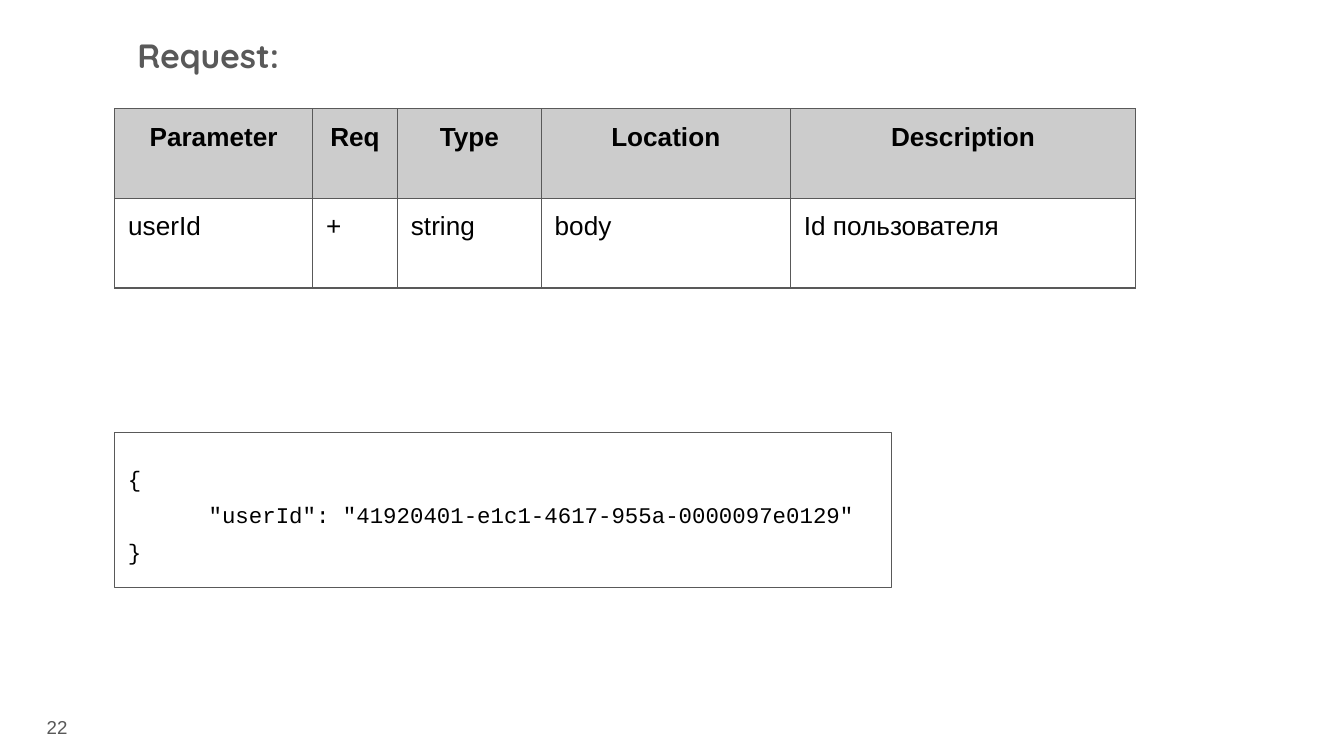
from dataclasses import dataclass

from lxml.etree import SubElement
from pptx import Presentation
from pptx.dml.color import RGBColor
from pptx.enum.shapes import MSO_SHAPE
from pptx.enum.text import MSO_ANCHOR, PP_ALIGN
from pptx.oxml.ns import qn
from pptx.util import Inches, Pt

SLIDE_W = Inches(10)
SLIDE_H = SLIDE_W * 9 // 16
INSET = 0.1
GREY, BLACK, WHITE, HEADER = "595959", "000000", "FFFFFF", "CCCCCC"
LINE_WIDTH = Pt(0.75)


@dataclass(frozen=True)
class Area:
    """A rectangle in percent of the slide's width and height."""
    x: float
    y: float
    w: float
    h: float

    def emu(self) -> tuple:
        return pct_w(self.x), pct_h(self.y), pct_w(self.w), pct_h(self.h)


@dataclass(frozen=True)
class Style:
    size: float
    font: str = "Arial"
    color: str = BLACK
    bold: bool = False
    align: PP_ALIGN = PP_ALIGN.LEFT
    spacing: float = 1.0
    after: float = 0


TITLE = Style(18, "Quicksand", GREY, bold=True, spacing=1.15, after=16)
HEADING = Style(14, bold=True, align=PP_ALIGN.CENTER)
VALUE = Style(14)
LOOSE_VALUE = Style(14, spacing=1.15)
MONO = Style(12, "Courier New", spacing=1.36)
NUMBER = Style(10, color=GREY, align=PP_ALIGN.RIGHT)


@dataclass(frozen=True)
class Column:
    width: float
    heading: str
    value: str
    style: Style = VALUE
    pad: float = INSET


@dataclass(frozen=True)
class CodeLine:
    text: str
    indent: float = 0


COLUMNS = [
    Column(14.72, "Parameter", "userId", LOOSE_VALUE, 0.07),
    Column(6.32, "Req", "+"),
    Column(10.7, "Type", "string"),
    Column(18.54, "Location", "body"),
    Column(25.7, "Description", "Id пользователя"),
]
ROW_H = 11.86
CODE = [
    CodeLine("{"),
    CodeLine('"userId": "41920401-e1c1-4617-955a-0000097e0129"', 0.6),
    CodeLine("}"),
]


def pct_w(share: float) -> int:
    return int(SLIDE_W * share / 100)


def pct_h(share: float) -> int:
    return int(SLIDE_H * share / 100)


def rgb(color: str) -> RGBColor:
    return RGBColor.from_string(color)


def write(p, text: str, style: Style) -> None:
    p.alignment = style.align
    p.line_spacing = style.spacing
    p.space_after = Pt(style.after)
    r = p.add_run()
    r.text = text
    r.font.name = style.font
    r.font.size = Pt(style.size)
    r.font.bold = style.bold
    r.font.color.rgb = rgb(style.color)


def set_margins(holder, pad: float = INSET) -> None:
    holder.margin_left = holder.margin_right = Inches(INSET)
    holder.margin_top = holder.margin_bottom = Inches(pad)


def set_frame(tf, anchor: MSO_ANCHOR) -> None:
    tf.word_wrap = True
    tf.vertical_anchor = anchor
    set_margins(tf)


def add_label(s, area: Area, text: str, style: Style, anchor: MSO_ANCHOR) -> None:
    tf = s.shapes.add_textbox(*area.emu()).text_frame
    set_frame(tf, anchor)
    write(tf.paragraphs[0], text, style)


def set_borders(cell) -> None:
    tc_pr = cell._tc.get_or_add_tcPr()
    for i, side in enumerate(("a:lnL", "a:lnR", "a:lnT", "a:lnB")):
        ln = tc_pr.makeelement(qn(side), {"w": str(int(LINE_WIDTH))})
        fill = SubElement(ln, qn("a:solidFill"))
        SubElement(fill, qn("a:srgbClr"), val=GREY)
        tc_pr.insert(i, ln)


def fill_cell(cell, text: str, style: Style, color: str, pad: float = INSET) -> None:
    set_margins(cell, pad)
    cell.fill.solid()
    cell.fill.fore_color.rgb = rgb(color)
    set_borders(cell)
    write(cell.text_frame.paragraphs[0], text, style)


def add_parameters(s, x: float, y: float) -> None:
    area = Area(x, y, sum(c.width for c in COLUMNS), 2 * ROW_H)
    table = s.shapes.add_table(2, len(COLUMNS), *area.emu()).table
    for row in table.rows:
        row.height = pct_h(ROW_H)
    for i, col in enumerate(COLUMNS):
        table.columns[i].width = pct_w(col.width)
        fill_cell(table.cell(0, i), col.heading, HEADING, HEADER)
        fill_cell(table.cell(1, i), col.value, col.style, WHITE, col.pad)


def add_code(s, area: Area) -> None:
    sp = s.shapes.add_shape(MSO_SHAPE.RECTANGLE, *area.emu())
    sp.shadow.inherit = False
    sp.fill.solid()
    sp.fill.fore_color.rgb = rgb(WHITE)
    sp.line.color.rgb = rgb(GREY)
    sp.line.width = LINE_WIDTH
    tf = sp.text_frame
    set_frame(tf, MSO_ANCHOR.MIDDLE)
    for i, line in enumerate(CODE):
        p = tf.add_paragraph() if i else tf.paragraphs[0]
        write(p, line.text, MONO)
        p._p.get_or_add_pPr().set("marL", str(int(Inches(line.indent))))


def main() -> None:
    prs = Presentation()
    prs.slide_width, prs.slide_height = SLIDE_W, SLIDE_H
    s = prs.slides.add_slide(prs.slide_layouts[6])
    add_label(s, Area(0, 92.35, 6, 7.65), "22", NUMBER, MSO_ANCHOR.MIDDLE)
    add_parameters(s, 8.54, 14.4)
    add_label(s, Area(9.24, 2.1, 60.5, 16), "Request:", TITLE, MSO_ANCHOR.TOP)
    add_code(s, Area(8.54, 57.25, 57.8, 20.44))
    prs.save("out.pptx")


if __name__ == "__main__":
    main()
